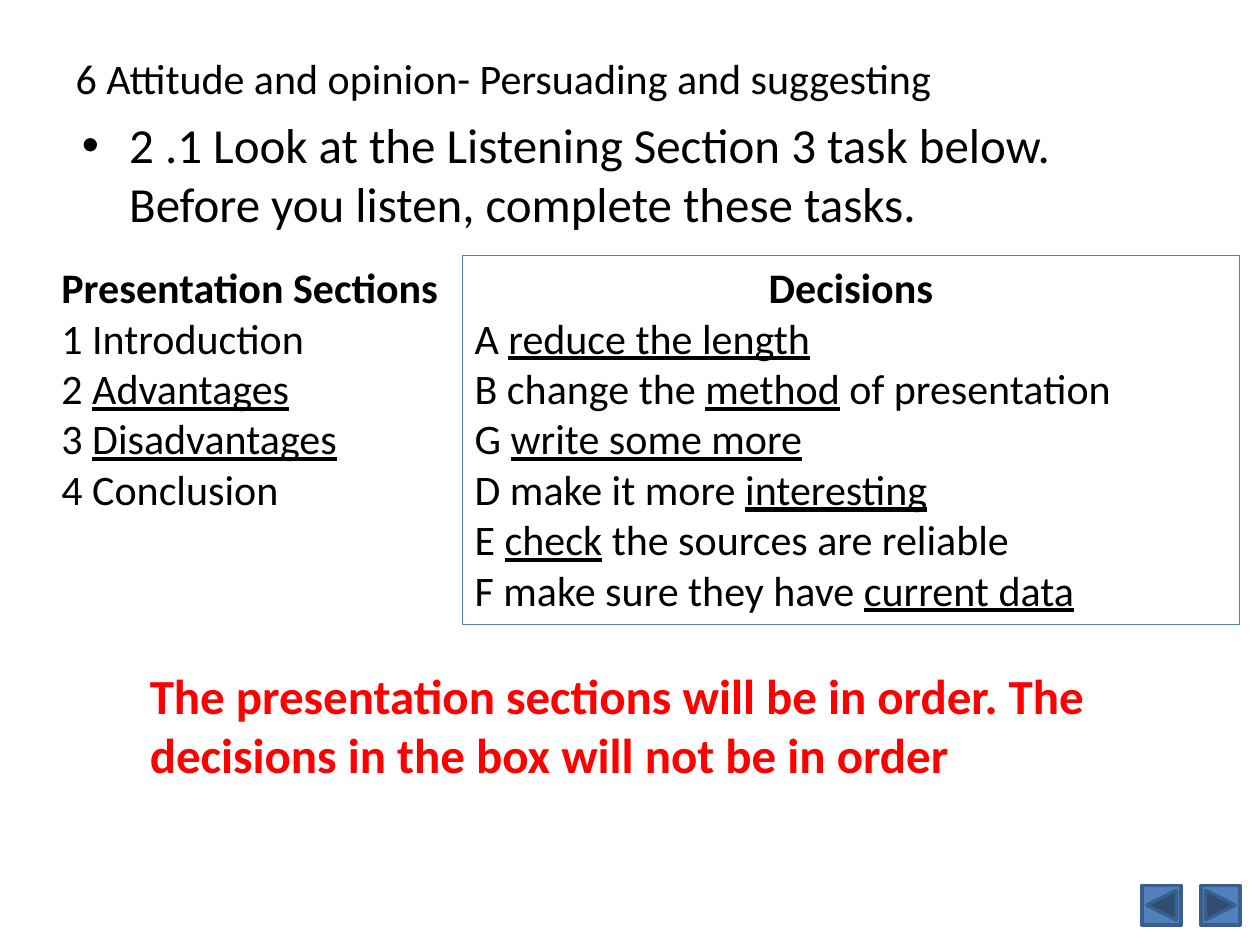
from pptx import Presentation
from pptx.dml.color import RGBColor
from pptx.enum.shapes import MSO_SHAPE
from pptx.enum.text import MSO_ANCHOR, MSO_AUTO_SIZE, PP_ALIGN
from pptx.util import Pt

BLACK = RGBColor(0, 0, 0)
RED = RGBColor(0xFF, 0, 0)
BLUE = RGBColor(0x4F, 0x81, 0xBD)
DARK_BLUE = RGBColor(0x3A, 0x5F, 0x8C)
LEFT = PP_ALIGN.LEFT
CENTER = PP_ALIGN.CENTER
TOP = MSO_ANCHOR.TOP
MIDDLE = MSO_ANCHOR.MIDDLE
NO_AUTOFIT = MSO_AUTO_SIZE.NONE
BACK_BUTTON = MSO_SHAPE.ACTION_BUTTON_BACK_OR_PREVIOUS
NEXT_BUTTON = MSO_SHAPE.ACTION_BUTTON_FORWARD_OR_NEXT
FONT = "Calibri"
UNDERLINE_MARK = "_"

SECTIONS = [
    "Presentation Sections",
    "1 Introduction",
    "2 _Advantages_",
    "3 _Disadvantages_",
    "4 Conclusion",
]
DECISIONS = [
    "Decisions",
    "A _reduce the length_",
    "B change the _method_ of presentation",
    "G _write some more_",
    "D make it more _interesting_",
    "E _check_ the sources are reliable",
    "F make sure they have _current data_",
]


def format_run(run, size, color=BLACK, bold=False, underline=False):
    run.font.name = FONT
    run.font.size = Pt(size)
    run.font.color.rgb = color
    run.font.bold = bold
    run.font.underline = underline


def fill_placeholder(shape, text, size, anchor, left, top, width, height):
    shape.left, shape.top = Pt(left), Pt(top)
    shape.width, shape.height = Pt(width), Pt(height)
    frame = shape.text_frame
    frame.text = text
    frame.auto_size = NO_AUTOFIT
    frame.vertical_anchor = anchor
    paragraph = frame.paragraphs[0]
    paragraph.alignment = LEFT
    format_run(paragraph.runs[0], size)


def add_text(slide, lines, size, left, top, width, height, color=BLACK, heading_alignment=LEFT):
    shape = slide.shapes.add_textbox(Pt(left), Pt(top), Pt(width), Pt(height))
    frame = shape.text_frame
    frame.word_wrap = True
    for index, line in enumerate(lines):
        is_heading = index == 0
        paragraph = frame.paragraphs[0] if is_heading else frame.add_paragraph()
        paragraph.alignment = heading_alignment if is_heading else LEFT
        for position, part in enumerate(line.split(UNDERLINE_MARK)):
            if part:
                run = paragraph.add_run()
                run.text = part
                format_run(run, size, color, is_heading, position % 2 == 1)
    return shape


def add_button(slide, kind, left):
    button = slide.shapes.add_shape(kind, Pt(left), Pt(506), Pt(22.5), Pt(22.5))
    button.shadow.inherit = False
    button.fill.solid()
    button.fill.fore_color.rgb = BLUE
    button.line.color.rgb = DARK_BLUE
    button.line.width = Pt(2)


def main():
    presentation = Presentation()
    presentation.slide_width, presentation.slide_height = Pt(720), Pt(540)
    slide = presentation.slides.add_slide(presentation.slide_layouts[1])

    fill_placeholder(slide.shapes.title, "6 Attitude and opinion- Persuading and suggesting",
                     24, MIDDLE, 36, 21.6, 648, 46)
    fill_placeholder(slide.placeholders[1],
                     "2 .1 Look at the Listening Section 3 task below. "
                     "Before you listen, complete these tasks. ",
                     28, TOP, 39.6, 62, 648, 78.5)

    for kind, left in ((BACK_BUTTON, 652.5), (NEXT_BUTTON, 686.2)):
        add_button(slide, kind, left)

    decisions = add_text(slide, DECISIONS, 24, 264.2, 146, 444.2, 211, heading_alignment=CENTER)
    decisions.line.color.rgb = BLUE
    decisions.line.width = Pt(0.75)
    add_text(slide, SECTIONS, 24, 28, 146, 236.2, 152.6)
    add_text(slide, ["The presentation sections will be in order. "
                     "The decisions in the box will not be in order"],
             28, 78.5, 376.6, 562.3, 75, RED)

    presentation.save("out.pptx")


main()
